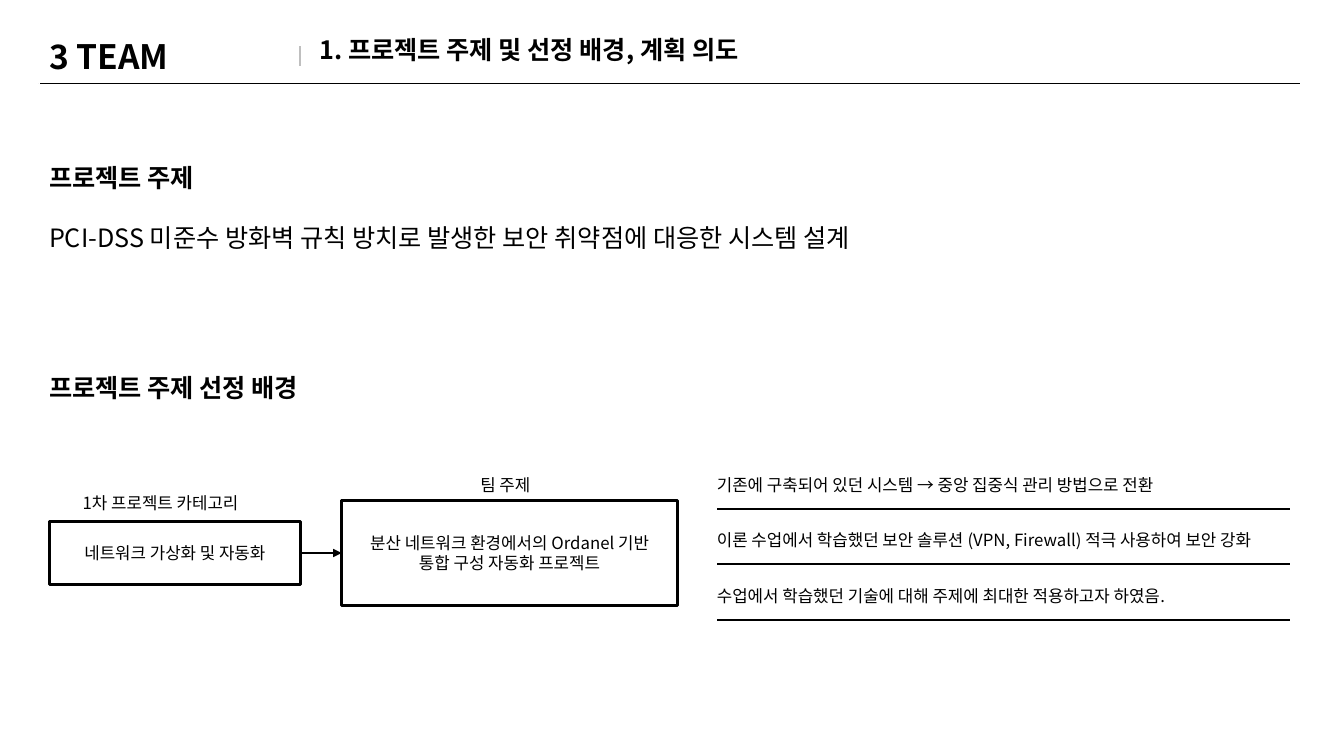
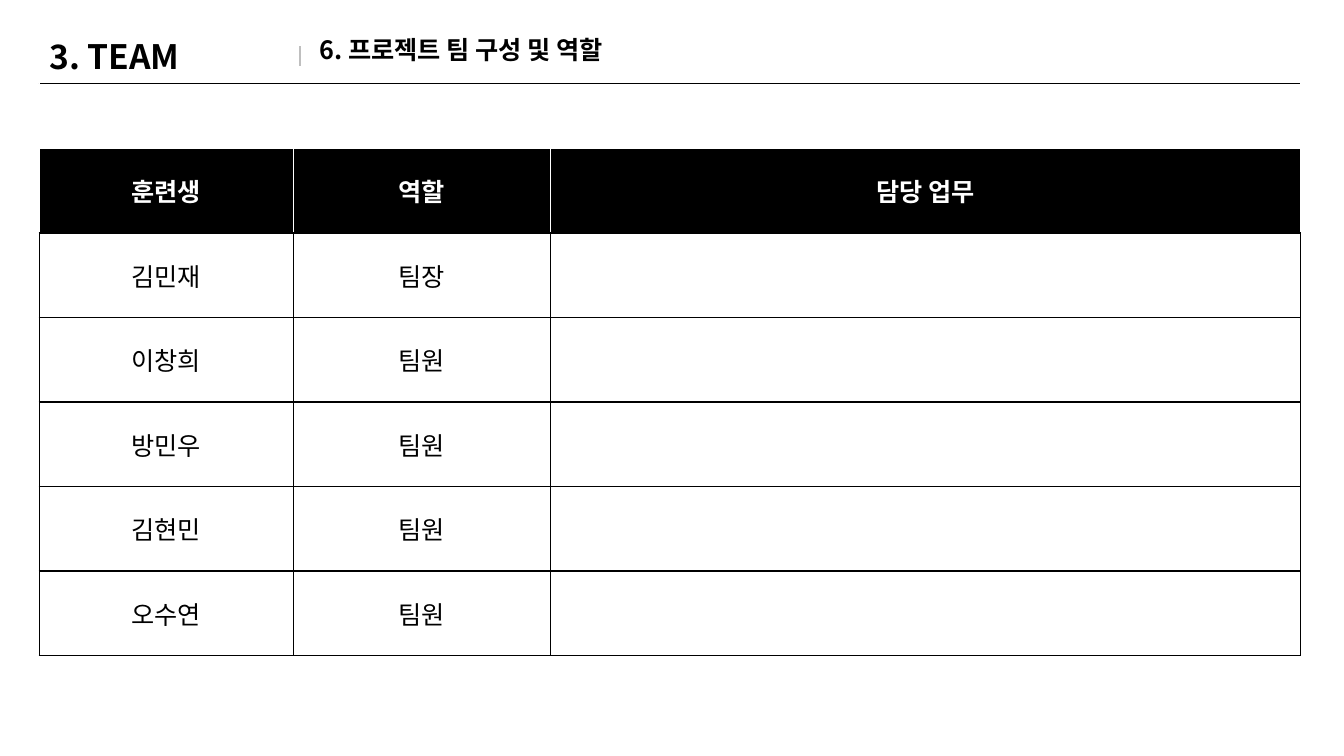
import pptx
import pptx.util
import pptx.dml.color
import pptx.enum.shapes
import pptx.enum.text
import pptx.oxml
import pptx.oxml.ns

Pt = pptx.util.Pt
ALIGN = pptx.enum.text.PP_ALIGN
ANCHOR = pptx.enum.text.MSO_ANCHOR
AUTO_SIZE = pptx.enum.text.MSO_AUTO_SIZE
STRAIGHT = pptx.enum.shapes.MSO_CONNECTOR.STRAIGHT
RECTANGLE = pptx.enum.shapes.MSO_SHAPE.RECTANGLE

FONT = "Noto Sans CJK KR"
BLACK, WHITE, GRAY = "000000", "FFFFFF", "BFBFBF"
LEFT, WIDTH = 28, 901
HEADER_BORDERS = {"L": WHITE, "R": WHITE, "T": WHITE, "B": BLACK}
BODY_BORDERS = dict.fromkeys("LRTB", BLACK)

# Content
TOPIC_TEAM = "3 TEAM"
TOPIC_TITLE = "1. 프로젝트 주제 및 선정 배경, 계획 의도"
TOPIC = ["프로젝트 주제",
         "PCI-DSS 미준수 방화벽 규칙 방치로 발생한 보안 취약점에 대응한 시스템 설계"]
BACKGROUND = "프로젝트 주제 선정 배경"
CATEGORY_LABEL, THEME_LABEL = "1차 프로젝트 카테고리", "팀 주제"
CATEGORY = ["네트워크 가상화 및 자동화"]
THEME = ["분산 네트워크 환경에서의 Ordanel 기반", "통합 구성 자동화 프로젝트"]
REASONS = [
    "기존에 구축되어 있던 시스템 → 중앙 집중식 관리 방법으로 전환",
    "이론 수업에서 학습했던 보안 솔루션 (VPN, Firewall) 적극 사용하여 보안 강화",
    "수업에서 학습했던 기술에 대해 주제에 최대한 적용하고자 하였음.",
]
ROLES_TEAM = "3. TEAM"
ROLES_TITLE = "6. 프로젝트 팀 구성 및 역할"
ROLES = [
    ("훈련생", "역할", "담당 업무"),
    ("김민재", "팀장", ""),
    ("이창희", "팀원", ""),
    ("방민우", "팀원", ""),
    ("김현민", "팀원", ""),
    ("오수연", "팀원", ""),
]
ROLE_WIDTHS = [181.5, 183.5, 536]


def color(value):
    return pptx.dml.color.RGBColor.from_string(value)


def add_xml(parent, markup):
    namespace = pptx.oxml.ns.nsdecls("a")
    parent.append(pptx.oxml.parse_xml(markup.replace(" ", f" {namespace} ", 1)))


def style_para(para, size, bold=False, ink=BLACK, align=ALIGN.LEFT):
    para.alignment = align
    for span in para.runs:
        span.font.size = Pt(size)
        span.font.bold = bold
        span.font.color.rgb = color(ink)
        span.font.name = FONT
        add_xml(span.font._element, f'<a:ea typeface="{FONT}"/>')


def fill_text(frame, lines, size, bold=False, ink=BLACK, align=ALIGN.LEFT):
    frame.text = "\n".join(lines)
    for para in frame.paragraphs:
        style_para(para, size, bold, ink, align)


def add_text(page, left, top, width, height, lines, size, bold=False, wrap=False):
    box = page.shapes.add_textbox(Pt(left), Pt(top), Pt(width), Pt(height))
    fill_text(box.text_frame, lines, size, bold)
    box.text_frame.word_wrap = wrap
    box.text_frame.auto_size = AUTO_SIZE.SHAPE_TO_FIT_TEXT
    return box


def add_line(page, x1, y1, x2, y2, ink=BLACK):
    line = page.shapes.add_connector(STRAIGHT, Pt(x1), Pt(y1), Pt(x2), Pt(y2))
    line.line.color.rgb = color(ink)
    line.line.width = Pt(1.5)
    add_xml(line._element.spPr, "<a:effectLst />")
    return line


def add_frame(page, left, top, width, height, lines):
    box = page.shapes.add_shape(RECTANGLE, Pt(left), Pt(top), Pt(width), Pt(height))
    box.shadow.inherit = False
    box.fill.background()
    box.line.color.rgb = color(BLACK)
    box.line.width = Pt(2.25)
    box.text_frame.vertical_anchor = ANCHOR.MIDDLE
    fill_text(box.text_frame, lines, 12, align=ALIGN.CENTER)
    return box


def add_grid(page, top, widths, row_height, row_count):
    shape = page.shapes.add_table(row_count, len(widths), Pt(LEFT), Pt(top),
                                  Pt(sum(widths)), Pt(row_height * row_count))
    table = shape.table
    table.first_row = table.horz_banding = False
    for column, width in zip(table.columns, widths):
        column.width = Pt(width)
    return table


def set_borders(cell, borders):
    for side, ink in borders.items():
        add_xml(cell._tc.get_or_add_tcPr(),
                f'<a:ln{side} w="12700"><a:solidFill><a:srgbClr val="{ink}"/>'
                f'</a:solidFill></a:ln{side}>')


def add_page(deck, team, heading):
    """Slide with the shared header: team name, divider and title."""
    page = deck.slides.add_slide(deck.slide_layouts[5])
    cell = add_grid(page, 18, [WIDTH], 41.5, 1).cell(0, 0)
    set_borders(cell, HEADER_BORDERS)
    cell.fill.background()
    fill_text(cell.text_frame, [team], 24, bold=True)
    add_line(page, 214.5, 33, 214.5, 47, GRAY)

    title = page.shapes.title
    title.left, title.top, title.width, title.height = Pt(221), Pt(21), Pt(352), Pt(29)
    fill_text(title.text_frame, [heading], 18, bold=True)
    title.text_frame.word_wrap = False
    title.text_frame.auto_size = AUTO_SIZE.SHAPE_TO_FIT_TEXT
    title.text_frame.vertical_anchor = ANCHOR.TOP
    return page


def build_topic(deck):
    page = add_page(deck, TOPIC_TEAM, TOPIC_TITLE)

    # Topic and background headings
    topic = add_text(page, LEFT, 112.3, 654, 72.7, TOPIC, 18, bold=True)
    detail = topic.text_frame.paragraphs[1]
    detail.space_before = Pt(21.5)
    detail.runs[0].font.bold = False
    add_text(page, LEFT, 262.5, 215, 29, [BACKGROUND], 18, bold=True)

    # Category leading to the team theme
    add_text(page, 52, 348.5, 139, 21.8, [CATEGORY_LABEL], 12)
    add_text(page, 336, 335.5, 55, 21.8, [THEME_LABEL], 12)
    category = add_frame(page, 35.5, 372.5, 179, 45, CATEGORY)
    theme = add_frame(page, 244, 357.5, 240, 75, THEME)
    arrow = add_line(page, 214.5, 395, 244, 395)
    arrow.begin_connect(category, 3)
    arrow.end_connect(theme, 1)
    add_xml(arrow.line._get_or_add_ln(), '<a:tailEnd type="triangle"/>')

    # Underlined reasons
    for index, reason in enumerate(REASONS):
        top = 335.5 + index * 39.6
        add_text(page, 505, top, 438, 21.8, [reason], 12, wrap=True)
        add_line(page, 512.5, top + 28, 921.5, top + 28)


def build_roles(deck):
    page = add_page(deck, ROLES_TEAM, ROLES_TITLE)
    table = add_grid(page, 106, ROLE_WIDTHS, 60.4, len(ROLES))
    for row, values in enumerate(ROLES):
        header = row == 0
        for column, value in enumerate(values):
            cell = table.cell(row, column)
            set_borders(cell, HEADER_BORDERS if header else BODY_BORDERS)
            cell.fill.solid()
            cell.fill.fore_color.rgb = color(BLACK if header else WHITE)
            cell.vertical_anchor = ANCHOR.MIDDLE
            fill_text(cell.text_frame, [value], 18, header,
                      WHITE if header else BLACK, ALIGN.CENTER)


def main():
    deck = pptx.Presentation()
    deck.slide_width, deck.slide_height = Pt(960), Pt(540)
    build_topic(deck)
    build_roles(deck)
    deck.save("out.pptx")


if __name__ == "__main__":
    main()
